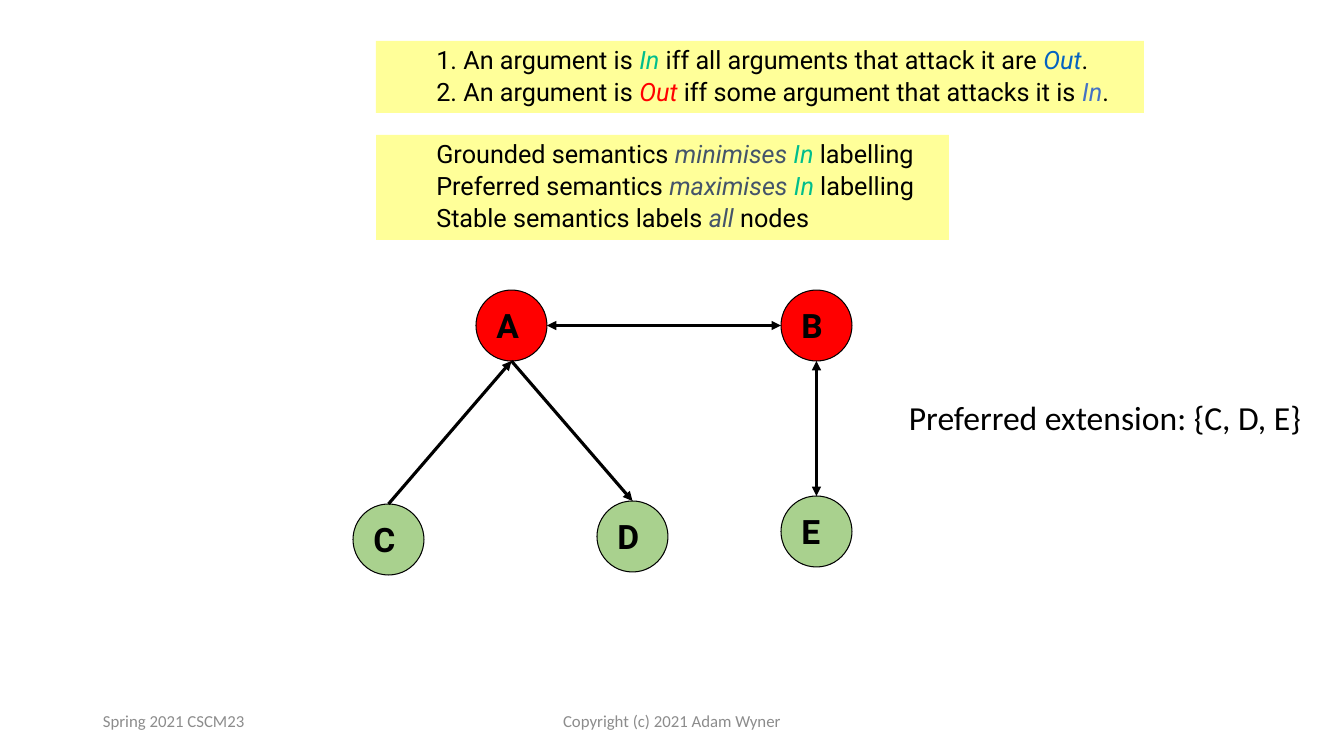
"""Build a slide on argument labelling with an attack graph and its preferred extension."""
import pptx
import pptx.util
import pptx.dml.color
import pptx.enum.shapes
import pptx.enum.text
import pptx.oxml
import pptx.oxml.ns

COLOURS = {
    "black": "000000", "red": "FF0000", "green": "A9D18E", "yellow": "FFFF99",
    "teal": "00BE8C", "link": "0563C1", "blue": "4472C4", "slate": "44546A", "grey": "8C8C8C",
}
SLIDE_SIZE = (1344, 756)
NODE_SIZE = 71
NODES = {
    "A": (476, 290, "red"),
    "B": (781, 290, "red"),
    "C": (353, 504, "green"),
    "D": (597, 501, "green"),
    "E": (781, 496, "green"),
}
ATTACKS = [
    ("A", "right", "B", "left", True),
    ("C", "top", "A", "bottom", False),
    ("A", "bottom", "D", "top", False),
    ("B", "bottom", "E", "top", True),
]
SIDES = {"top": (0.5, 0), "left": (0, 0.5), "bottom": (0.5, 1), "right": (1, 0.5)}
RULE_BOXES = [
    ((376, 41, 768, 72), False, [
        [("1. An argument is ", "black"), ("In", "teal"),
         (" iff all arguments that attack it are ", "black"), ("Out", "link"), (".", "black")],
        [("2. An argument is ", "black"), ("Out", "red"),
         (" iff some argument that attacks it is ", "black"), ("In", "blue"), (".", "black")],
    ]),
    ((376, 135, 573, 105), True, [
        [("Grounded semantics ", "black"), ("minimises ", "slate"), ("In ", "teal"), ("labelling", "black")],
        [("Preferred semantics ", "black"), ("maximises ", "slate"), ("In ", "teal"), ("labelling", "black")],
        [("Stable semantics labels ", "black"), ("all", "slate"), (" nodes", "black")],
    ]),
]
LEFT, CENTRE = pptx.enum.text.PP_ALIGN.LEFT, pptx.enum.text.PP_ALIGN.CENTER
TOP, MIDDLE = pptx.enum.text.MSO_ANCHOR.TOP, pptx.enum.text.MSO_ANCHOR.MIDDLE
LABELS = [
    ("Preferred extension: {C, D, E}", (899, 392, 416, 51), 24, "black", LEFT, TOP, False),
    ("Spring 2021 CSCM23", (93, 701, 302, 40), 12, "grey", LEFT, MIDDLE, True),
    ("Copyright (c) 2021 Adam Wyner", (445, 701, 454, 40), 12, "grey", CENTRE, MIDDLE, True),
]


def px(length):
    return pptx.util.Emu(round(length * 914400 / 100.8))


def colour(name):
    return pptx.dml.color.RGBColor.from_string(COLOURS[name])


def add_run(paragraph, text, font_name, size, colour_name, bold=False, italic=False):
    run = paragraph.add_run()
    run.text = text
    run.font.name = font_name
    run.font.size = pptx.util.Pt(size)
    run.font.bold = bold
    run.font.italic = italic
    run.font.color.rgb = colour(colour_name)


def add_filled_shape(slide, kind, box, fill, wrap):
    shape = slide.shapes.add_shape(kind, *map(px, box))
    shape.shadow.inherit = False
    shape.fill.solid()
    shape.fill.fore_color.rgb = colour(fill)
    shape.text_frame.word_wrap = wrap
    shape.text_frame.vertical_anchor = MIDDLE
    return shape


def add_node(slide, name, left, top, fill):
    box = (left, top, NODE_SIZE, NODE_SIZE)
    shape = add_filled_shape(slide, pptx.enum.shapes.MSO_SHAPE.OVAL, box, fill, False)
    shape.line.color.rgb = colour("black")
    shape.line.width = pptx.util.Pt(0.75)
    paragraph = shape.text_frame.paragraphs[0]
    paragraph.alignment = LEFT
    add_run(paragraph, name, "Roboto", 24, "black", bold=True)


def side_point(node, side):
    left, top, _ = NODES[node]
    across, down = SIDES[side]
    return px(left + across * NODE_SIZE), px(top + down * NODE_SIZE)


def add_attack(slide, attacker, start_side, target, end_side, mutual):
    connector = slide.shapes.add_connector(
        pptx.enum.shapes.MSO_CONNECTOR.STRAIGHT,
        *side_point(attacker, start_side), *side_point(target, end_side))
    connector.line.color.rgb = colour("black")
    connector.line.width = pptx.util.Pt(2.25)
    line = connector.line._get_or_add_ln()
    for tag in ("a:headEnd", "a:tailEnd") if mutual else ("a:tailEnd",):
        arrowhead = pptx.oxml.parse_xml(f'<{tag} {pptx.oxml.ns.nsdecls("a")} type="triangle"/>')
        line.append(arrowhead)
    effects = pptx.oxml.parse_xml(f'<a:effectLst {pptx.oxml.ns.nsdecls("a")}/>')
    connector._element.spPr.append(effects)


def add_rule_box(slide, box, wrap, lines):
    shape = add_filled_shape(slide, pptx.enum.shapes.MSO_SHAPE.RECTANGLE, box, "yellow", wrap)
    shape.line.fill.background()
    frame = shape.text_frame
    for index, runs in enumerate(lines):
        paragraph = frame.add_paragraph() if index else frame.paragraphs[0]
        paragraph.alignment = LEFT
        paragraph.line_spacing = 0.9
        paragraph.space_before = pptx.util.Pt(3.6)
        properties = paragraph._p.get_or_add_pPr()
        properties.set("marL", str(pptx.util.Inches(0.5)))
        properties.set("indent", "0")
        for text, name in runs:
            add_run(paragraph, text, "Roboto", 18, name, italic=name != "black")


def add_label(slide, text, box, size, colour_name, alignment, anchor, wrap):
    frame = slide.shapes.add_textbox(*map(px, box)).text_frame
    frame.word_wrap = wrap
    frame.vertical_anchor = anchor
    frame.paragraphs[0].alignment = alignment
    add_run(frame.paragraphs[0], text, "Calibri", size, colour_name)


def main():
    presentation = pptx.Presentation()
    presentation.slide_width, presentation.slide_height = map(px, SLIDE_SIZE)
    slide = presentation.slides.add_slide(presentation.slide_layouts[6])
    for name, node in NODES.items():
        add_node(slide, name, *node)
    for attack in ATTACKS:
        add_attack(slide, *attack)
    for rule_box in RULE_BOXES:
        add_rule_box(slide, *rule_box)
    for label in LABELS:
        add_label(slide, *label)
    presentation.save("out.pptx")


if __name__ == "__main__":
    main()
